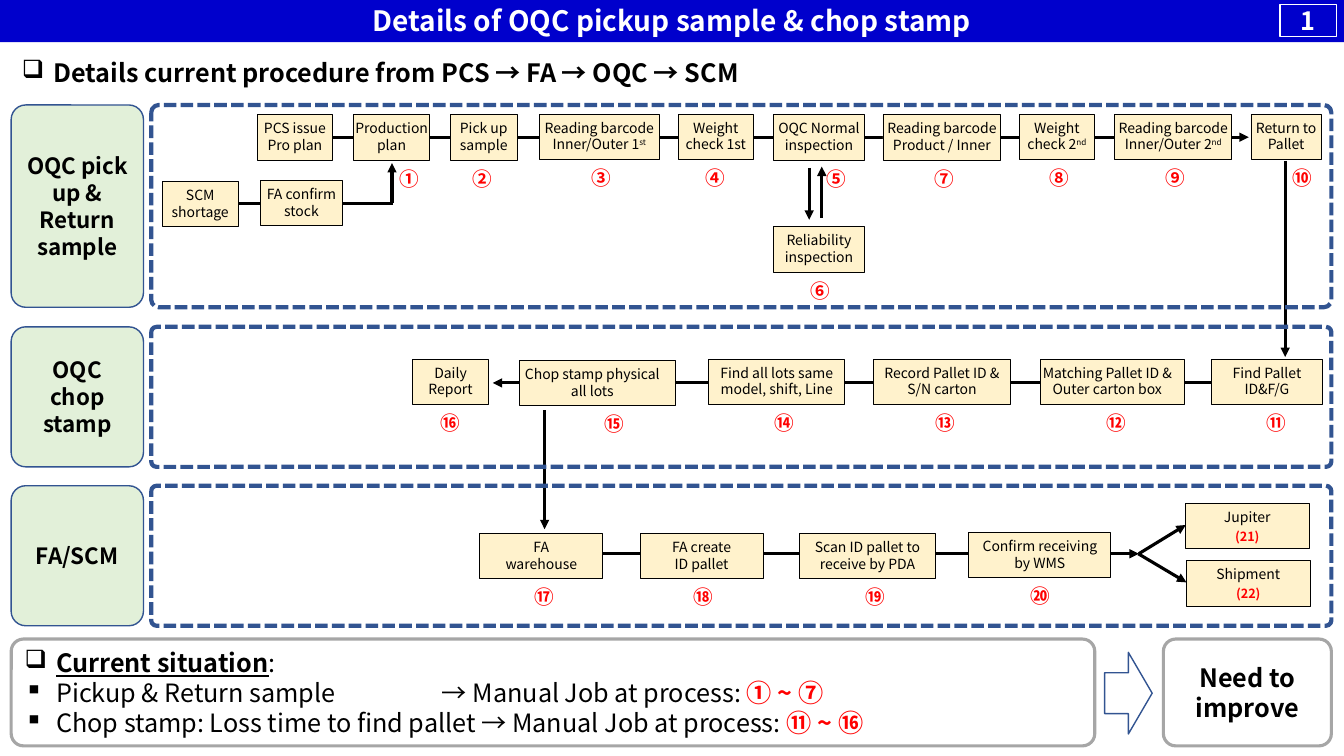
from dataclasses import dataclass

import lxml.etree
import pptx
import pptx.dml.color
import pptx.enum.dml
import pptx.enum.shapes
import pptx.enum.text
import pptx.oxml.ns
import pptx.util

Pt = pptx.util.Pt
Kind = pptx.enum.shapes.MSO_SHAPE
Side = pptx.enum.text.PP_ALIGN
Hold = pptx.enum.text.MSO_ANCHOR
qn = pptx.oxml.ns.qn

FONT = "Noto Sans CJK JP"
HUES = {
    "black": "000000", "white": "FFFFFF", "red": "FF0000", "bar": "0000CC",
    "cream": "FFF2CC", "green": "E2F0D9", "navy": "325491", "gray": "A6A6A6",
}
WIDE = (7.2, 7.2)
SKEW = (0, 7.2)


@dataclass
class Card:
    left: float
    top: float
    width: float
    text: str
    mark: str = ""
    shift: float = 0
    pad: tuple = (0, 0)
    drop: float = 45.3
    size: float = 14


@dataclass
class Link:
    start: tuple
    end: tuple
    head: bool = True


@dataclass
class Band:
    top: float
    height: float
    name: str


LINKS = [
    Link((170, 145.5), (281, 145.5), False),
    Link((280, 145), (280, 116.5)),
    Link((217, 98), (892, 98)),
    Link((578, 120), (578, 157)),
    Link((587, 155.5), (587, 119)),
    Link((918, 115), (918, 255)),
    Link((878, 273.5), (352, 273.5)),
    Link((389, 293), (389, 378)),
    Link((389, 395.5), (813.5, 395.5)),
    Link((813.5, 395.5), (847, 375)),
    Link((813, 395.5), (847.5, 416)),
]
CARDS = [
    Card(183.6, 82, 54, "PCS issue Pro plan"),
    Card(252.7, 82, 54, "Production plan", "①", 13),
    Card(321.8, 82, 47.5, "Pick up sample", "②", -1),
    Card(385.2, 81.5, 85.7, "Reading barcode Inner/Outer 1^st", "③", 1.5),
    Card(484.6, 81.5, 53.3, "Weight check 1st", "④"),
    Card(552.2, 82, 65.5, "OQC Normal inspection", "⑤", 12.5),
    Card(630.7, 82, 84.2, "Reading barcode\nProduct / Inner", "⑦", 2),
    Card(727.9, 81.5, 54, "Weight check 2^nd", "⑧", 2),
    Card(796.3, 81.5, 83.5, "Reading barcode\nInner/Outer 2^nd", "⑨", 1.5),
    Card(893.5, 81.5, 50.4, "Return to Pallet", "⑩", 11.5),
    Card(116, 129.5, 54, "SCM shortage"),
    Card(185.8, 129, 59, "FA confirm stock"),
    Card(552.2, 162, 65.5, "Reliability\ninspection", "⑥", 1),
    Card(865.4, 256.5, 79.2, "Find Pallet ID&F/G", "⑪", 6.5, WIDE),
    Card(743, 256.5, 103, "Matching Pallet ID & Outer carton box", "⑫", 3, SKEW),
    Card(624.2, 256.5, 97.2, "Record Pallet ID & S/N carton", "⑬", 2.5, WIDE),
    Card(506.2, 256.5, 97.2, "Find all lots same model, shift, Line", "⑭", 5.5),
    Card(370.8, 257.5, 111.6, "Chop stamp physical\nall lots", "⑮", 12, SKEW),
    Card(294.5, 256.5, 54.7, "Daily Report", "⑯", 0, WIDE),
    Card(342.7, 381, 87.8, "FA\nwarehouse", "⑰", 2, WIDE),
    Card(457.2, 381, 87.8, "FA create\nID pallet", "⑱", 1.5, WIDE),
    Card(571, 381, 97.2, "Scan ID pallet to receive by PDA", "⑲", 5.5, WIDE),
    Card(692, 380.5, 101.5, "Confirm receiving by WMS", "⑳", 0, WIDE),
    Card(846.7, 359.5, 88.5, "Jupiter", "(21)", 0, WIDE, 23.6, 9),
    Card(847.4, 400.5, 88.5, "Shipment", "(22)", 0, WIDE, 23.6, 9),
]
BANDS = [
    Band(75, 144.5, "OQC pick up & Return sample"),
    Band(233.5, 100, "OQC chop stamp"),
    Band(347, 100, "FA/SCM"),
]

deck = pptx.Presentation()
deck.slide_width, deck.slide_height = Pt(960), Pt(540)
slide = deck.slides.add_slide(deck.slide_layouts[6])


def hue(name: str) -> pptx.dml.color.RGBColor:
    return pptx.dml.color.RGBColor.from_string(HUES[name])


def say(par, text: str, *, size: float = 10, tint: str = "black",
        bold: bool = False, under: bool = False) -> None:
    for row, line in enumerate(text.split("\n")):
        if row:
            par.add_line_break()
        for part, words in enumerate(line.split("^")):
            run = par.add_run()
            run.text = words
            run.font.name, run.font.size = FONT, Pt(size)
            run.font.bold, run.font.underline = bold, under
            run.font.color.rgb = hue(tint)
            props = run._r.get_or_add_rPr()
            if part:
                props.set("baseline", "30000")
            east = lxml.etree.Element(qn("a:ea"), typeface=FONT)
            props.find(qn("a:latin")).addnext(east)


def list_mark(par, sign: str, tab: float = 0) -> None:
    props = par._p.get_or_add_pPr()
    props.set("marL", str(Pt(22.5)))
    props.set("indent", str(-Pt(22.5)))
    lxml.etree.SubElement(props, qn("a:buChar"), char=sign)
    if tab:
        tabs = lxml.etree.SubElement(props, qn("a:tabLst"))
        lxml.etree.SubElement(tabs, qn("a:tab"), pos=str(Pt(tab)), algn="l")


def set_frame(frame, pad: tuple = WIDE, rim: float = 3.6,
              hold=Hold.MIDDLE, side=Side.CENTER):
    frame.word_wrap = True
    frame.margin_left, frame.margin_right = Pt(pad[0]), Pt(pad[1])
    frame.margin_top = frame.margin_bottom = Pt(rim)
    frame.vertical_anchor = hold
    frame.paragraphs[0].alignment = side
    return frame.paragraphs[0]


def draw(kind, left: float, top: float, width: float, height: float, *,
         fill: str = "", line: str = "", weight: float = 1, bend: float = 0):
    shape = slide.shapes.add_shape(kind, Pt(left), Pt(top), Pt(width), Pt(height))
    shape.shadow.inherit = False
    if bend:
        shape.adjustments[0] = bend
    if fill:
        shape.fill.solid()
        shape.fill.fore_color.rgb = hue(fill)
    else:
        shape.fill.background()
    if line:
        shape.line.color.rgb = hue(line)
        shape.line.width = Pt(weight)
    else:
        shape.line.fill.background()
    return shape


def note(left: float, top: float, width: float, height: float):
    return slide.shapes.add_textbox(
        Pt(left), Pt(top), Pt(width), Pt(height)).text_frame


def draw_link(link: Link) -> None:
    ends = [Pt(spot) for spot in link.start + link.end]
    wire = slide.shapes.add_connector(
        pptx.enum.shapes.MSO_CONNECTOR.STRAIGHT, *ends)
    wire.line.color.rgb = hue("black")
    wire.line.width = Pt(2.25)
    if link.head:
        lxml.etree.SubElement(
            wire.line._get_or_add_ln(), qn("a:tailEnd"), type="triangle")
    lxml.etree.SubElement(wire._element.spPr, qn("a:effectLst"))


def draw_card(card: Card) -> None:
    box = draw(Kind.RECTANGLE, card.left, card.top, card.width, 32.3,
               fill="cream", line="black", weight=0.5)
    say(set_frame(box.text_frame, card.pad, hold=Hold.TOP), card.text)
    if card.mark:
        mid = card.left + card.width / 2 + card.shift
        tag = note(mid - 25, card.top + card.drop - 15, 50, 30)
        say(set_frame(tag), card.mark, size=card.size, tint="red", bold=True)


def draw_band(band: Band) -> None:
    zone = draw(Kind.ROUNDED_RECTANGLE, 108, band.top, 843, band.height,
                line="navy", weight=3, bend=0.038)
    zone.line.dash_style = pptx.enum.dml.MSO_LINE.SQUARE_DOT
    label = draw(Kind.ROUNDED_RECTANGLE, 8, band.top, 94.5, band.height,
                 fill="green", line="navy", bend=0.11)
    say(set_frame(label.text_frame), band.name, size=16, bold=True)


def draw_head() -> None:
    bar = draw(Kind.RECTANGLE, 0, -1.5, 960, 31.7, fill="bar")
    say(set_frame(bar.text_frame), "Details of OQC pickup sample & chop stamp",
        size=20, tint="white", bold=True)
    page = draw(Kind.RECTANGLE, 914.4, 3, 40.3, 23, line="white")
    say(set_frame(page.text_frame, rim=2), "1", size=18, tint="white", bold=True)
    par = set_frame(note(8.6, 37.4, 942, 29), hold=Hold.TOP, side=Side.LEFT)
    list_mark(par, "❑")
    say(par, "Details current procedure from PCS → FA → OQC → SCM",
        size=18, bold=True)


def draw_foot() -> None:
    box = draw(Kind.ROUNDED_RECTANGLE, 8, 456.5, 774, 76.3,
               line="gray", weight=2.25, bend=0.115)
    par = set_frame(box.text_frame, rim=0, side=Side.LEFT)
    list_mark(par, "❑")
    say(par, "Current situation", size=18, bold=True, under=True)
    say(par, ":", size=18)
    for text, span, tab in [
        ("Pickup & Return sample\t→ Manual Job at process: ", "① ~ ⑦", 298),
        ("Chop stamp: Loss time to find pallet → Manual Job at process: ",
         "⑪ ~ ⑯", 0),
    ]:
        par = box.text_frame.add_paragraph()
        par.alignment = Side.LEFT
        list_mark(par, "▪", tab)
        say(par, text, size=18)
        say(par, span, size=18, tint="red", bold=True)
    draw(Kind.RIGHT_ARROW, 789, 466, 34, 58.3, line="navy")
    goal = draw(Kind.ROUNDED_RECTANGLE, 831, 456.5, 120, 76.3,
                line="gray", weight=2.25, bend=0.115)
    say(set_frame(goal.text_frame, rim=0), "Need to improve", size=18, bold=True)


def main() -> None:
    draw_head()
    for link in LINKS:
        draw_link(link)
    for card in CARDS:
        draw_card(card)
    for band in BANDS:
        draw_band(band)
    draw_foot()
    deck.save("out.pptx")


if __name__ == "__main__":
    main()
